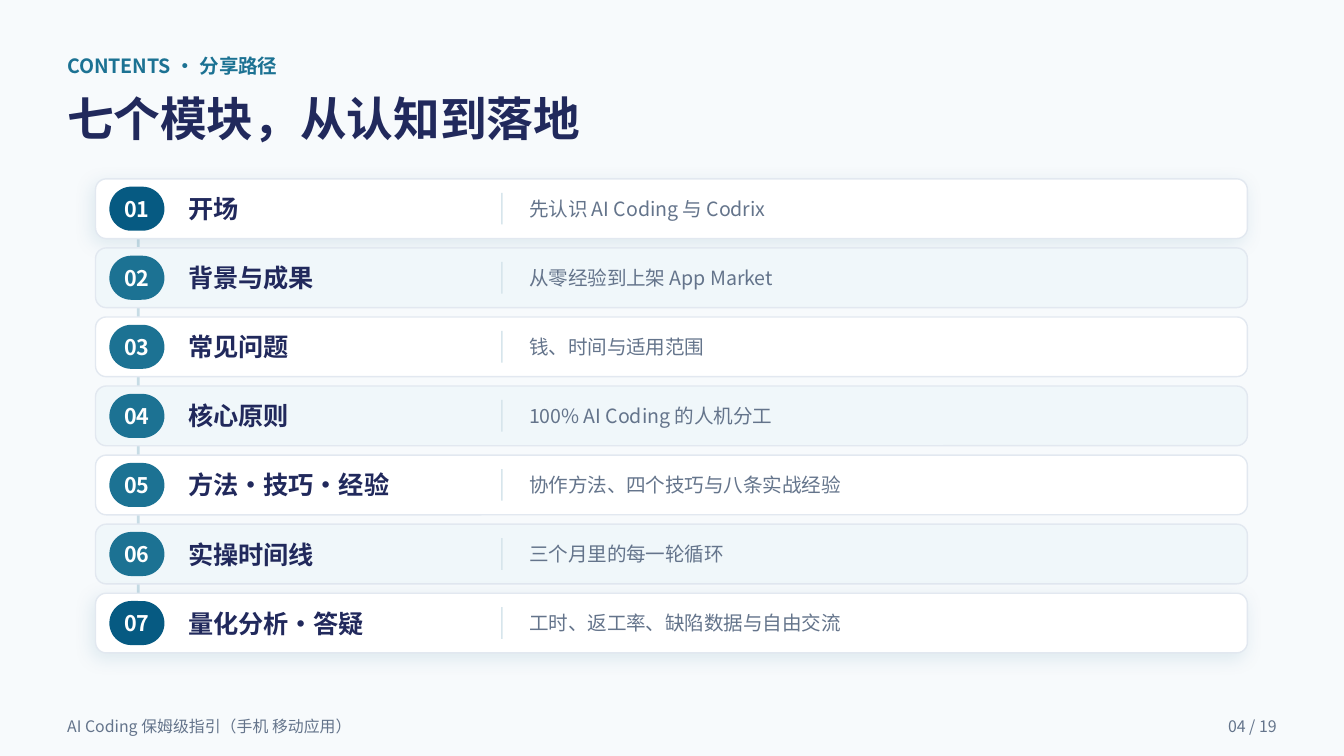
from lxml import etree
from pptx import Presentation
from pptx.dml.color import RGBColor
from pptx.enum.shapes import MSO_SHAPE
from pptx.enum.text import MSO_ANCHOR, MSO_AUTO_SIZE, PP_ALIGN
from pptx.oxml.ns import qn
from pptx.util import Pt

EYEBROW = "CONTENTS · 分享路径"
TITLE = "七个模块，从认知到落地"
MODULES = [
    ("开场", "先认识 AI Coding 与 Codrix"),
    ("背景与成果", "从零经验到上架 App Market"),
    ("常见问题", "钱、时间与适用范围"),
    ("核心原则", "100% AI Coding 的人机分工"),
    ("方法·技巧·经验", "协作方法、四个技巧与八条实战经验"),
    ("实操时间线", "三个月里的每一轮循环"),
    ("量化分析·答疑", "工时、返工率、缺陷数据与自由交流"),
]
FOOTER = "AI Coding 保姆级指引（手机 移动应用）"
PAGE = "04 / 19"

FONT = "Noto Sans CJK SC"
BACKGROUND = RGBColor(0xF7, 0xFA, 0xFC)
WHITE = RGBColor(0xFF, 0xFF, 0xFF)
TINT = RGBColor(0xF0, 0xF7, 0xFA)
BORDER = RGBColor(0xE2, 0xE8, 0xF0)
NAVY = RGBColor(0x21, 0x29, 0x5C)
TEAL = RGBColor(0x1C, 0x72, 0x93)
DEEP = RGBColor(0x06, 0x5A, 0x82)
GREY = RGBColor(0x64, 0x74, 0x8B)
RAIL = RGBColor(0xC7, 0xDC, 0xE5)
DIVIDER = RGBColor(0xD7, 0xE5, 0xEC)

MARGIN = 36
CARD_LEFT, CARD_WIDTH, CARD_HEIGHT = 51.2, 617.1, 32
FIRST_CENTER, PITCH = 111.8, 37
BADGE_LEFT, BADGE_WIDTH, BADGE_HEIGHT = 58.6, 29.5, 23.6


def write(shape, text, size, color, bold=False, align=PP_ALIGN.LEFT):
    """Set one line of middle-anchored text without insets."""
    frame = shape.text_frame
    frame.word_wrap = True
    frame.auto_size = MSO_AUTO_SIZE.NONE
    frame.vertical_anchor = MSO_ANCHOR.MIDDLE
    frame.margin_left = frame.margin_right = 0
    frame.margin_top = frame.margin_bottom = 0
    paragraph = frame.paragraphs[0]
    paragraph.alignment = align
    paragraph.line_spacing = 1.0
    paragraph.space_before = Pt(0)
    run = paragraph.add_run()
    run.text = text
    run.font.name = FONT
    run.font.size = Pt(size)
    run.font.bold = bold
    run.font.color.rgb = color
    east_asian = etree.SubElement(run.font._element, qn("a:ea"))
    east_asian.set("typeface", FONT)


def add_label(slide, left, top, width, height, *args, **style):
    """Add a text box; the remaining arguments go to write."""
    box = slide.shapes.add_textbox(Pt(left), Pt(top), Pt(width), Pt(height))
    write(box, *args, **style)


def add_block(slide, left, center, width, height, fill, radius=None, border=None):
    """Add a filled rectangle around a vertical center, rounded if radius is set."""
    kind = MSO_SHAPE.RECTANGLE if radius is None else MSO_SHAPE.ROUNDED_RECTANGLE
    block = slide.shapes.add_shape(
        kind, Pt(left), Pt(center - height / 2), Pt(width), Pt(height))
    if radius is not None:
        block.adjustments[0] = radius
    block.shadow.inherit = False
    block.fill.solid()
    block.fill.fore_color.rgb = fill
    if border is None:
        block.line.fill.background()
    else:
        block.line.color.rgb = border
        block.line.width = Pt(0.75)
    return block


def add_soft_shadow(shape):
    """Give a shape a faint blurred outer shadow."""
    effects = shape._element.spPr.find(qn("a:effectLst"))
    shadow = etree.SubElement(
        effects, qn("a:outerShdw"), blurRad=str(Pt(10)), dist=str(Pt(3)),
        dir=str(135 * 60000), algn="bl", rotWithShape="0")
    color = etree.SubElement(shadow, qn("a:srgbClr"), val=str(DEEP))
    etree.SubElement(color, qn("a:alpha"), val="10000")


def add_module(slide, index, name, summary):
    """Add one row: card, numbered badge, name, divider and summary."""
    center = FIRST_CENTER + index * PITCH
    highlighted = index in (0, len(MODULES) - 1)
    card = add_block(slide, CARD_LEFT, center, CARD_WIDTH, CARD_HEIGHT,
                     TINT if index % 2 else WHITE, 0.18, BORDER)
    if highlighted:
        add_soft_shadow(card)
    badge = add_block(slide, BADGE_LEFT, center, BADGE_WIDTH, BADGE_HEIGHT,
                      DEEP if highlighted else TEAL, 0.5)
    write(badge, f"{index + 1:02d}", 11.5, WHITE, bold=True, align=PP_ALIGN.CENTER)
    text_height = 26.6
    text_top = center - text_height / 2
    add_label(slide, 101, text_top, 161.3, text_height, name, 13.5, NAVY, bold=True)
    add_block(slide, 268.5, center, 0.8, 17, DIVIDER)
    add_label(slide, 283.5, text_top, 358.6, text_height, summary, 10.5, GREY)


def build():
    """Build and save the contents slide."""
    deck = Presentation()
    deck.slide_width, deck.slide_height = Pt(720), Pt(405)
    slide = deck.slides.add_slide(deck.slide_layouts[5])
    slide.background.fill.solid()
    slide.background.fill.fore_color.rgb = BACKGROUND

    add_label(slide, MARGIN, 26, 648, 18.7, EYEBROW, 10.5, TEAL, bold=True)
    title = slide.shapes.title
    title.left, title.top, title.width, title.height = (
        Pt(MARGIN), Pt(44.6), Pt(648), Pt(37.4))
    write(title, TITLE, 25, NAVY, bold=True)

    rail_length = (len(MODULES) - 1) * PITCH
    add_block(slide, 73.4, FIRST_CENTER + rail_length / 2, 1.5, rail_length, RAIL)
    for index, (name, summary) in enumerate(MODULES):
        add_module(slide, index, name, summary)

    add_label(slide, MARGIN, 381.6, 324, 14.4, FOOTER, 8.5, GREY)
    add_label(slide, 604.8, 381.6, 79.2, 14.4, PAGE, 8.5, GREY, align=PP_ALIGN.RIGHT)
    deck.save("out.pptx")


build()
